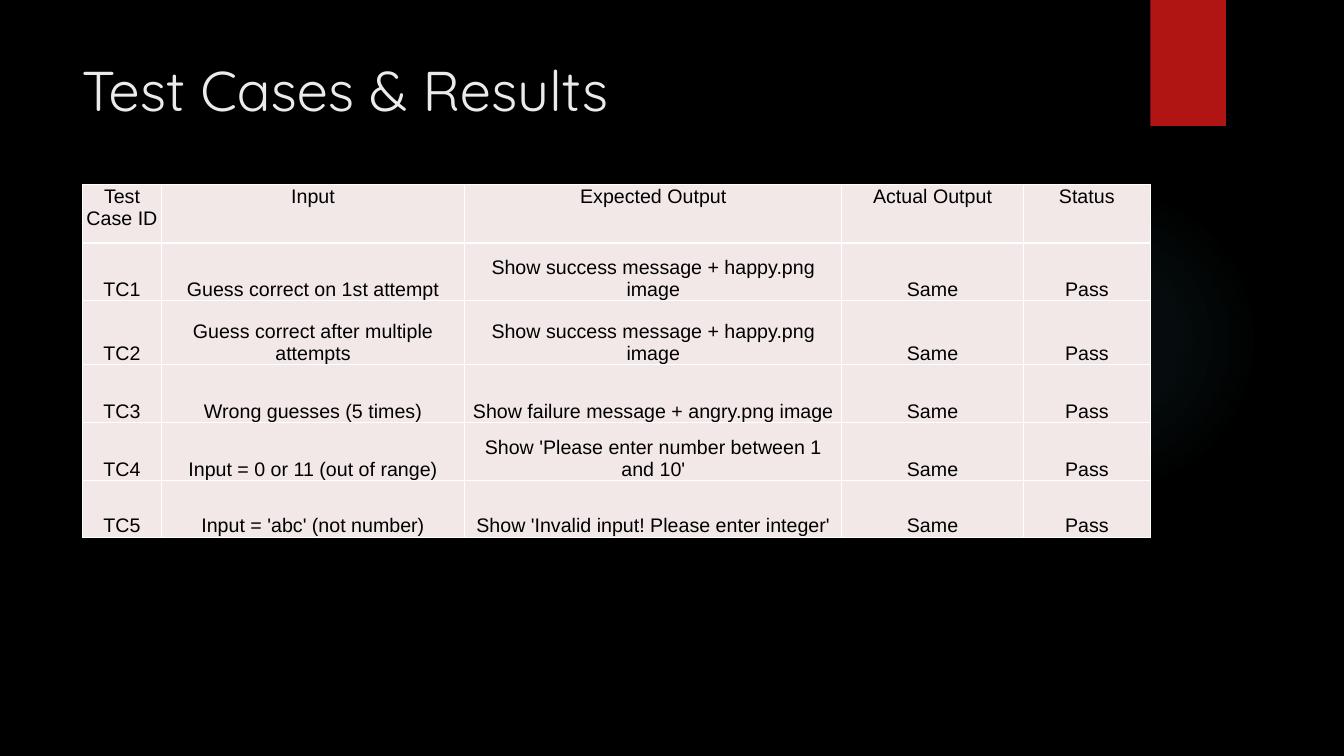
import pptx
import pptx.util
import pptx.dml.color
import pptx.enum.shapes
import pptx.enum.text
import pptx.oxml
import pptx.oxml.ns

Inches = pptx.util.Inches
SHAPE = pptx.enum.shapes.MSO_SHAPE
ANCHOR = pptx.enum.text.MSO_ANCHOR
ALIGN = pptx.enum.text.PP_ALIGN

COLORS = {
    "back": "000000", "glow": "50B9C1", "tab": "B01513", "title": "EBEBEB",
    "cell": "F2E8E7", "text": "000000", "line": "FFFFFF",
}
GLOW = [(0, 7), (36, 6), (69, 0)]  # stop and opacity, in percent

COLS = [0.78, 3.01, 3.74, 1.8, 1.26]
ROWS = [0.58, 0.57, 0.64, 0.57, 0.58, 0.56]
HEAD = ["Test Case ID", "Input", "Expected Output", "Actual Output", "Status"]
CASES = [
    ("Guess correct on 1st attempt", "Show success message + happy.png image"),
    ("Guess correct after multiple attempts",
     "Show success message + happy.png image"),
    ("Wrong guesses (5 times)", "Show failure message + angry.png image"),
    ("Input = 0 or 11 (out of range)",
     "Show 'Please enter number between 1 and 10'"),
    ("Input = 'abc' (not number)",
     "Show 'Invalid input! Please enter integer'"),
]


def color(name):
    return pptx.dml.color.RGBColor.from_string(COLORS[name])


def apply(item, **values):
    for key, value in values.items():
        setattr(item, key, value)


def paint(item, name):
    item.fill.solid()
    item.fill.fore_color.rgb = color(name)


def write(frame, text, size, face, tone, align):
    frame.text = text
    para = frame.paragraphs[0]
    para.alignment = align
    font = para.runs[0].font
    apply(font, size=pptx.util.Pt(size), name=face, bold=False)
    font.color.rgb = color(tone)


def add_shape(slide, kind, left, top, width, height, tone):
    shape = slide.shapes.add_shape(
        kind, Inches(left), Inches(top), Inches(width), Inches(height))
    shape.shadow.inherit = False
    shape.line.fill.background()
    paint(shape, tone)
    return shape


def add_glow(slide):
    glow = add_shape(slide, SHAPE.OVAL, 9.41, 1.83, 3.08, 3.08, "glow")
    stops = "".join(
        f'<a:gs pos="{pos * 1000}"><a:srgbClr val="{COLORS["glow"]}">'
        f'<a:alpha val="{alpha * 1000}"/></a:srgbClr></a:gs>'
        for pos, alpha in GLOW)
    grad = pptx.oxml.parse_xml(
        f'<a:gradFill {pptx.oxml.ns.nsdecls("a")}><a:gsLst>{stops}</a:gsLst>'
        '<a:path path="circle"><a:fillToRect l="50000" t="50000" r="50000" '
        'b="50000"/></a:path></a:gradFill>')
    props = glow.element.spPr
    props.replace(props.find(pptx.oxml.ns.qn("a:solidFill")), grad)


def add_title(slide, text):
    title = slide.shapes.title
    apply(title, left=Inches(0.71), top=Inches(0.5),
          width=Inches(10.29), height=Inches(1.53))
    apply(title.text_frame, word_wrap=True, vertical_anchor=ANCHOR.TOP)
    write(title.text_frame, text, 40, "Quicksand", "title", ALIGN.LEFT)
    slide.shapes.element.append(title.element)  # in front of the decor


def add_edges(cell):
    props = cell._tc.get_or_add_tcPr()
    for place, side in enumerate("LRTB"):
        props.insert(place, pptx.oxml.parse_xml(
            f'<a:ln{side} {pptx.oxml.ns.nsdecls("a")} w="12700"><a:solidFill>'
            f'<a:srgbClr val="{COLORS["line"]}"/></a:solidFill></a:ln{side}>'))


def add_table(slide, rows):
    table = slide.shapes.add_table(
        len(ROWS), len(COLS), Inches(0.82), Inches(1.83),
        Inches(sum(COLS)), Inches(sum(ROWS))).table
    apply(table, first_row=False, horz_banding=False)
    for col, width in zip(table.columns, COLS):
        col.width = Inches(width)
    for row, height in zip(table.rows, ROWS):
        row.height = Inches(height)
    for r, texts in enumerate(rows):
        for c, text in enumerate(texts):
            cell = table.cell(r, c)
            gap = Inches(0.01)
            apply(cell, margin_left=gap, margin_right=gap, margin_top=gap,
                  margin_bottom=0,
                  vertical_anchor=ANCHOR.BOTTOM if r else ANCHOR.TOP)
            paint(cell, "cell")
            write(cell.text_frame, text, 14, "Arial", "text", ALIGN.CENTER)
            add_edges(cell)


def main():
    deck = pptx.Presentation()
    apply(deck, slide_width=Inches(13.33), slide_height=Inches(7.5))
    slide = deck.slides.add_slide(deck.slide_layouts[5])
    paint(slide.background, "back")

    # Decor
    add_glow(slide)
    add_shape(slide, SHAPE.RECTANGLE, 11.41, 0, 0.75, 1.25, "tab")

    # Title and test results
    add_title(slide, "Test Cases & Results")
    cases = [[f"TC{n}", *case, "Same", "Pass"]
             for n, case in enumerate(CASES, 1)]
    add_table(slide, [HEAD] + cases)
    deck.save("out.pptx")


if __name__ == "__main__":
    main()
